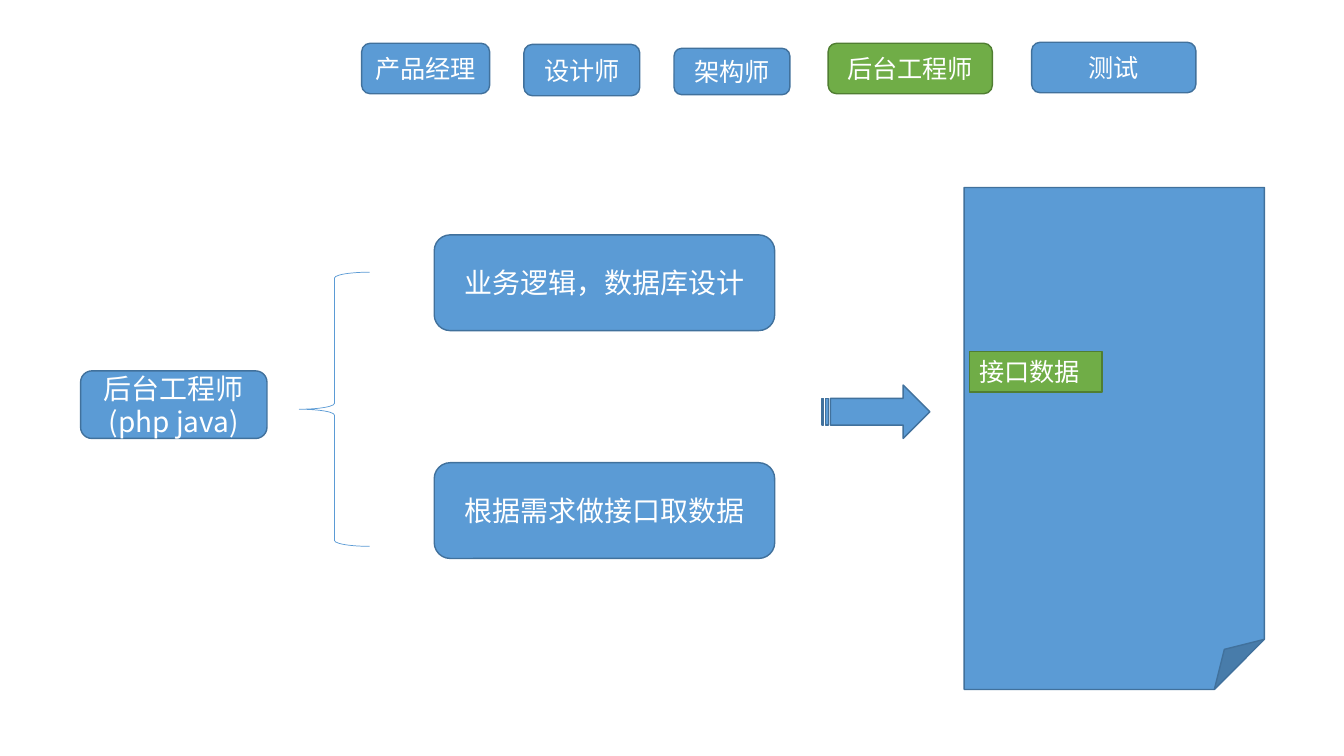
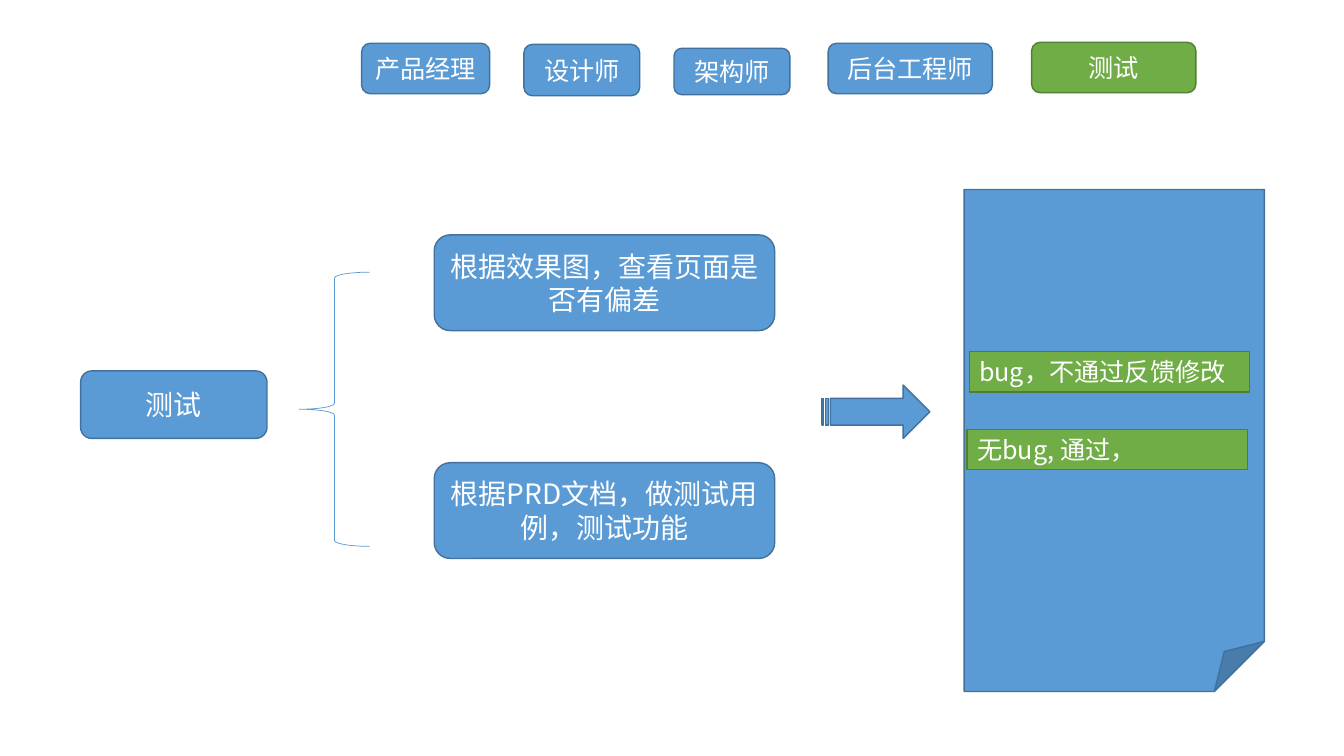
from lxml.etree import SubElement
from pptx import Presentation
from pptx.dml.color import RGBColor
from pptx.enum.shapes import MSO_SHAPE
from pptx.enum.text import MSO_ANCHOR, MSO_AUTO_SIZE, PP_ALIGN
from pptx.oxml.ns import qn
from pptx.util import Inches, Pt

BLUE = RGBColor(0x5B, 0x9B, 0xD5)
NAVY = RGBColor(0x41, 0x71, 0x9C)
GREEN = RGBColor(0x70, 0xAD, 0x47)
MOSS = RGBColor(0x50, 0x7E, 0x32)
WHITE = RGBColor(0xFF, 0xFF, 0xFF)
FONT = "Noto Sans CJK SC"

ROLES = [
    ("产品经理", 3.59, 0.43, 1.27, 0.5),
    ("设计师", 5.2, 0.44, 1.15, 0.51),
    ("架构师", 6.69, 0.48, 1.15, 0.46),
    ("后台工程师", 8.22, 0.43, 1.63, 0.5),
    ("测试", 10.24, 0.42, 1.63, 0.5),
]
PAGES = [
    {
        "active": "后台工程师",
        "role": "后台工程师(php java)",
        "tasks": ["业务逻辑，数据库设计", "根据需求做接口取数据"],
        "top": 1.86,
        "tags": [("接口数据", 9.62, 3.49, 1.32)],
    },
    {
        "active": "测试",
        "role": "测试",
        "tasks": ["根据效果图，查看页面是否有偏差", "根据PRD文档，做测试用例，测试功能"],
        "top": 1.88,
        "tags": [
            ("bug，不通过反馈修改", 9.62, 3.49, 2.78),
            ("无bug, 通过，", 9.6, 4.26, 2.78),
        ],
    },
]


def add_box(slide, kind, left, top, width, height, fill=BLUE, line=NAVY):
    box = slide.shapes.add_shape(
        kind, Inches(left), Inches(top), Inches(width), Inches(height))
    box.shadow.inherit = False
    box.fill.solid()
    box.fill.fore_color.rgb = fill
    box.line.color.rgb = line
    box.line.width = Pt(1)
    return box


def add_text(box, text, size, align=PP_ALIGN.CENTER, anchor=MSO_ANCHOR.MIDDLE):
    frame = box.text_frame
    frame.word_wrap = True
    frame.vertical_anchor = anchor
    para = frame.paragraphs[0]
    para.alignment = align
    run = para.add_run()
    run.text = text
    run.font.size = Pt(size)
    run.font.color.rgb = WHITE
    run.font.name = FONT
    SubElement(run.font._element, qn("a:ea"), typeface=FONT)


deck = Presentation()
deck.slide_width = Inches(13.34)
deck.slide_height = Inches(7.5)

for page in PAGES:
    slide = deck.slides.add_slide(deck.slide_layouts[6])

    role = add_box(slide, MSO_SHAPE.FLOWCHART_ALTERNATE_PROCESS, 0.8, 3.68, 1.85, 0.67)
    add_text(role, page["role"], 20)

    for row, text in enumerate(page["tasks"]):
        task = add_box(slide, MSO_SHAPE.ROUNDED_RECTANGLE,
                       4.31, 2.33 + row * 2.26, 3.38, 0.95)
        add_text(task, text, 20)

    brace = add_box(slide, MSO_SHAPE.LEFT_BRACE, 2.97, 2.7, 0.7, 2.72, line=BLUE)
    brace.fill.background()
    brace.line.width = Pt(0.5)

    add_box(slide, MSO_SHAPE.STRIPED_RIGHT_ARROW, 8.16, 3.82, 1.07, 0.53)
    add_box(slide, MSO_SHAPE.FOLDED_CORNER, 9.57, page["top"], 2.98, 4.98)

    for name, left, top, width, height in ROLES:
        fill, line = (GREEN, MOSS) if name == page["active"] else (BLUE, NAVY)
        step = add_box(slide, MSO_SHAPE.FLOWCHART_ALTERNATE_PROCESS,
                       left, top, width, height, fill, line)
        add_text(step, name, 18)

    for text, left, top, width in page["tags"]:
        tag = add_box(slide, MSO_SHAPE.RECTANGLE, left, top, width, 0.4, GREEN, MOSS)
        add_text(tag, text, 18, PP_ALIGN.LEFT, MSO_ANCHOR.TOP)
        tag.text_frame.auto_size = MSO_AUTO_SIZE.SHAPE_TO_FIT_TEXT

deck.save("out.pptx")
